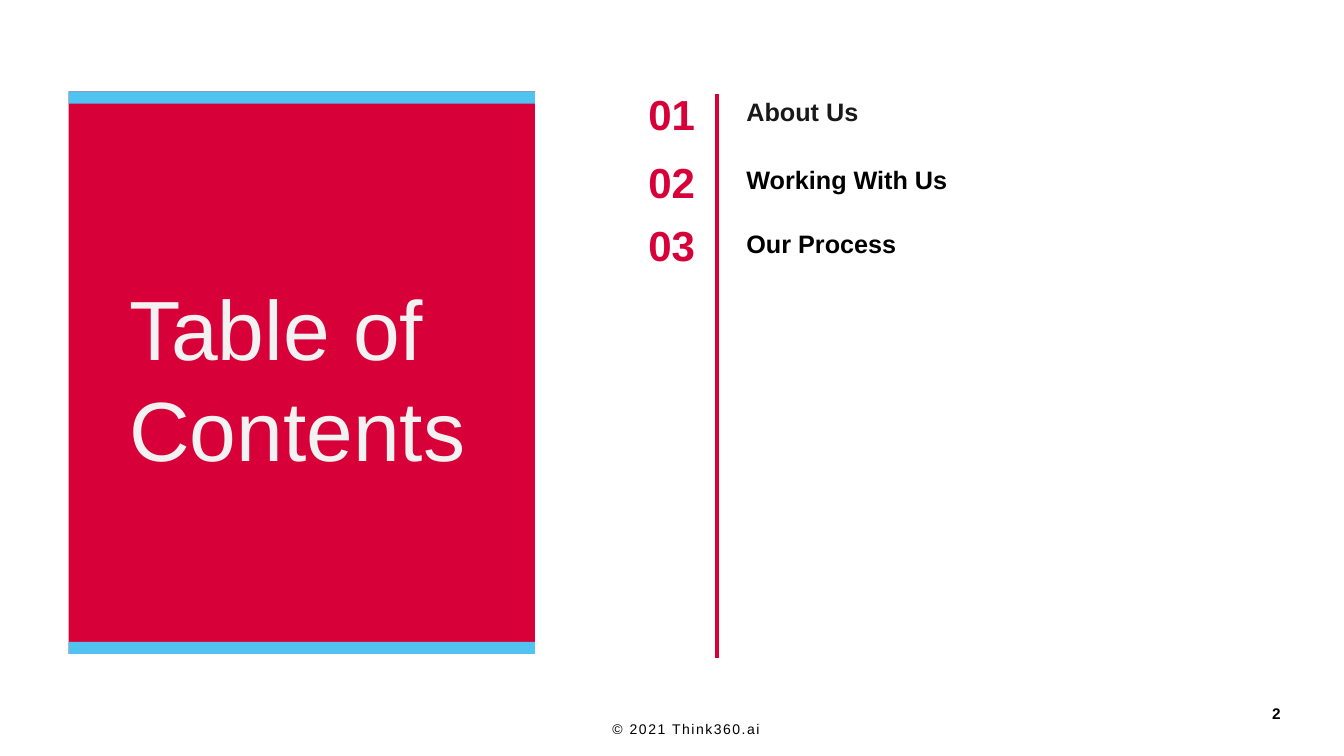
from pptx import Presentation
from pptx.dml.color import RGBColor
from pptx.enum.shapes import MSO_CONNECTOR, MSO_SHAPE
from pptx.enum.text import MSO_ANCHOR, MSO_AUTO_SIZE, PP_ALIGN
from pptx.oxml.ns import qn
from pptx.util import Inches, Pt
from lxml.etree import SubElement

RED = RGBColor(0xD7, 0x00, 0x38)
RULE_RED = RGBColor(0xD9, 0x00, 0x39)
BLUE = RGBColor(0x51, 0xC3, 0xF1)
OFF_WHITE = RGBColor(0xF2, 0xF2, 0xF2)
CHARCOAL = RGBColor(0x19, 0x19, 0x19)
BLACK = RGBColor(0x00, 0x00, 0x00)

WIDTH, HEIGHT = 13.33, 7.5
TITLE_ONLY = 5


class ContentsSlide:
    """Draws on one slide; every length is a share of the slide's size."""

    font = "Arial"

    def __init__(self, prs):
        self.width, self.height = prs.slide_width, prs.slide_height
        self.slide = prs.slides.add_slide(prs.slide_layouts[TITLE_ONLY])
        self.shapes = self.slide.shapes

    def box(self, x, y, w, h):
        return (round(x * self.width), round(y * self.height),
                round(w * self.width), round(h * self.height))

    def bar(self, x, y, w, h, color):
        sp = self.shapes.add_shape(MSO_SHAPE.RECTANGLE, *self.box(x, y, w, h))
        sp.shadow.inherit = False
        sp.fill.solid()
        sp.fill.fore_color.rgb = color
        sp.line.fill.background()

    def rule(self, x, top, bottom, color, weight):
        x, top, _, bottom = self.box(x, top, 0, bottom)
        line = self.shapes.add_connector(MSO_CONNECTOR.STRAIGHT, x, top, x, bottom)
        line.line.color.rgb = color
        line.line.width = Pt(weight)
        SubElement(line._element.spPr, qn("a:effectLst"))

    def title(self, text, x, y, w, h, size, color):
        sp = self.shapes.title
        sp.left, sp.top, sp.width, sp.height = self.box(x, y, w, h)
        self.shapes._spTree.append(sp._element)  # in front of the panel
        self.set_text(sp, text, size, color)

    def label(self, text, x, y, w, h, size, color, **style):
        sp = self.shapes.add_textbox(*self.box(x, y, w, h))
        self.set_text(sp, text, size, color, **style)

    def set_text(self, sp, text, size, color, bold=False, align=PP_ALIGN.LEFT,
                 anchor=MSO_ANCHOR.TOP, right_inset=0.1, spacing=0):
        tf = sp.text_frame
        tf.text = text
        tf.word_wrap = True
        tf.auto_size = MSO_AUTO_SIZE.NONE
        tf.vertical_anchor = anchor
        tf.margin_right = Inches(right_inset)
        for p in tf.paragraphs:
            p.alignment = align
            for r in p.runs:
                r.font.name = self.font
                r.font.size = Pt(size)
                r.font.bold = bold
                r.font.color.rgb = color
                if spacing:
                    r.font._element.set("spc", str(round(spacing * 100)))


def main():
    prs = Presentation()
    prs.slide_width, prs.slide_height = Inches(WIDTH), Inches(HEIGHT)
    s = ContentsSlide(prs)

    panel_x, panel_y, panel_w, panel_h = 0.051, 0.121, 0.347, 0.744
    band_h = 0.016
    s.bar(panel_x, panel_y, panel_w, panel_h, RED)
    for y in (panel_y, panel_y + panel_h - band_h):
        s.bar(panel_x, y, panel_w, band_h, BLUE)
    s.title("Table of\nContents", 0.0885, 0.359, 0.293, 0.283, 60, OFF_WHITE)

    sections = [
        ("About Us", 0.111, 0.121, CHARCOAL),
        ("Working With Us", 0.2, 0.211, BLACK),
        ("Our Process", 0.284, 0.296, BLACK),
    ]
    for n, (name, number_y, name_y, color) in enumerate(sections, 1):
        s.label(f"{n:02}", 0.475, number_y, 0.05, 0.081, 30, RED, bold=True)
        s.label(name, 0.548, name_y, 0.302, 0.053, 18, color, bold=True)
    s.rule(0.5335, 0.125, 0.871, RULE_RED, 2.25)

    s.label("© 2021 Think360.ai", 0.408, 0.939, 0.205, 0.051, 10, BLACK,
            align=PP_ALIGN.CENTER, anchor=MSO_ANCHOR.MIDDLE, spacing=1.1)
    s.label("2", 0.875, 0.927, 0.078, 0.032, 11, BLACK, bold=True,
            align=PP_ALIGN.RIGHT, anchor=MSO_ANCHOR.MIDDLE, right_inset=0)

    prs.save("out.pptx")


if __name__ == "__main__":
    main()
